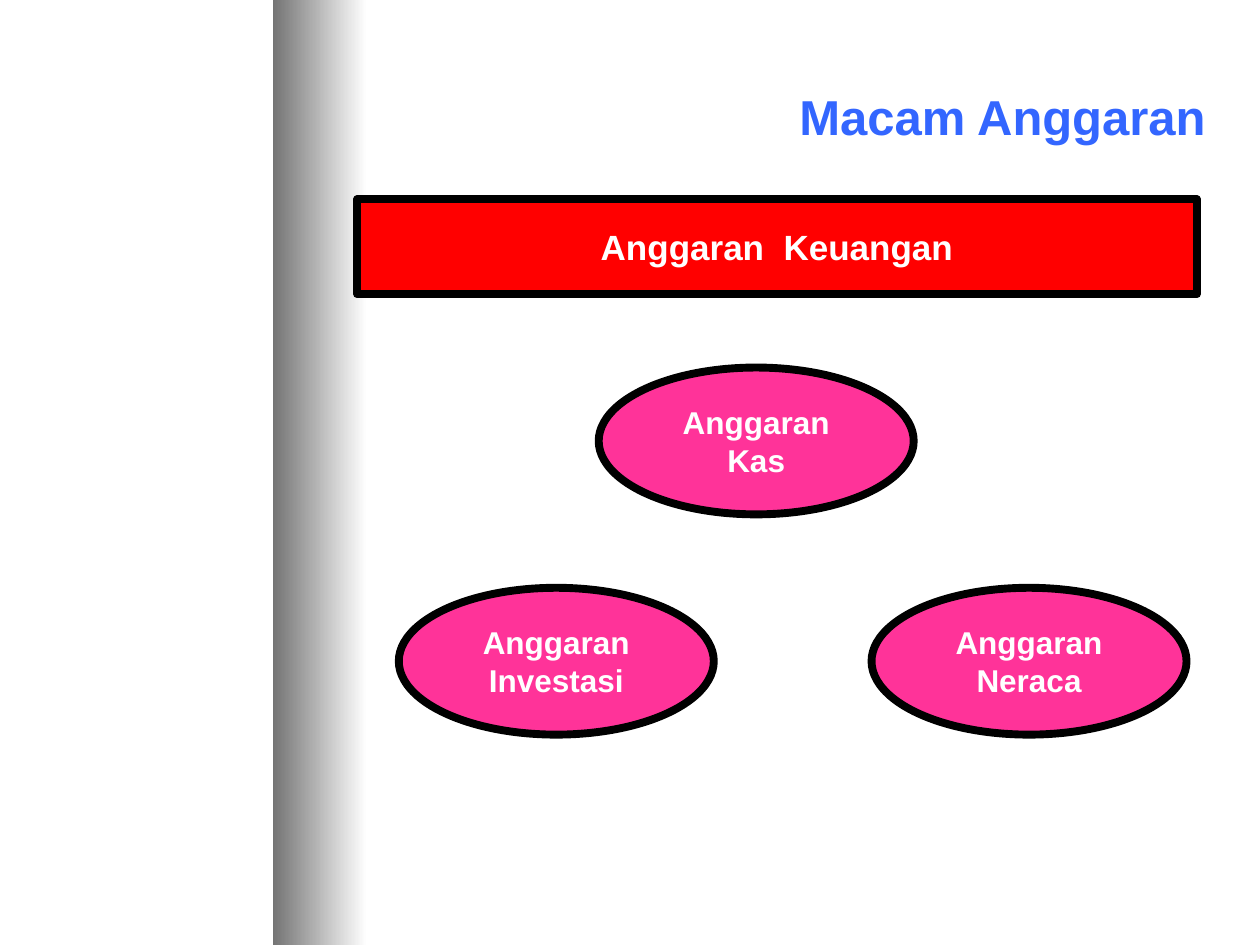
import pptx
import pptx.dml.color
import pptx.enum.shapes
import pptx.enum.text
import pptx.util

Cm = pptx.util.Cm
Pt = pptx.util.Pt
RGBColor = pptx.dml.color.RGBColor
MSO_SHAPE = pptx.enum.shapes.MSO_SHAPE
PP_ALIGN = pptx.enum.text.PP_ALIGN

BLACK = RGBColor(0x00, 0x00, 0x00)
WHITE = RGBColor(0xFF, 0xFF, 0xFF)
GREY = RGBColor(0x74, 0x74, 0x74)
BLUE = RGBColor(0x33, 0x66, 0xFF)
RED = RGBColor(0xFF, 0x00, 0x00)
PINK = RGBColor(0xFF, 0x33, 0x99)

FONT = "Arial"
OVAL_W, OVAL_H = 6.35, 2.96
OVALS = [
    ("Anggaran\nKas", 12.07, 7.41),
    ("Anggaran\nNeraca", 17.57, 11.85),
    ("Anggaran\nInvestasi", 8.04, 11.85),
]


def set_text(sp, text, size, color, align, wrap):
    tf = sp.text_frame
    tf.text = text
    tf.word_wrap = wrap
    tf.vertical_anchor = pptx.enum.text.MSO_ANCHOR.MIDDLE
    for p in tf.paragraphs:
        p.alignment = align
        for r in p.runs:
            r.font.name = FONT
            r.font.size = Pt(size)
            r.font.bold = True
            r.font.color.rgb = color


def add_band(s, left, top, width, height):
    sp = s.shapes.add_shape(MSO_SHAPE.RECTANGLE, Cm(left), Cm(top), Cm(width), Cm(height))
    sp.shadow.inherit = False
    sp.line.fill.background()
    sp.fill.gradient()
    sp.fill.gradient_angle = 0
    for stop, color in zip(sp.fill.gradient_stops, (GREY, WHITE)):
        stop.color.rgb = color


def add_title(s, text, left, top, width, height):
    sp = s.shapes.add_textbox(Cm(left), Cm(top), Cm(width), Cm(height))
    set_text(sp, text, 28, BLUE, PP_ALIGN.RIGHT, True)


def add_box(s, kind, text, left, top, width, height, fill, size):
    sp = s.shapes.add_shape(kind, Cm(left), Cm(top), Cm(width), Cm(height))
    sp.shadow.inherit = False
    sp.fill.solid()
    sp.fill.fore_color.rgb = fill
    sp.line.color.rgb = BLACK
    sp.line.width = Pt(4.5)
    set_text(sp, text, size, WHITE, PP_ALIGN.CENTER, False)


def main():
    """Build the slide on kinds of budget and save it."""
    prs = pptx.Presentation()
    prs.slide_width, prs.slide_height = Cm(25.4), Cm(19.05)
    s = prs.slides.add_slide(prs.slide_layouts[6])
    add_band(s, 5.5, 0, 1.9, 19.05)
    add_title(s, "Macam Anggaran", 6.77, 0.64, 17.78, 3.39)
    add_box(s, MSO_SHAPE.RECTANGLE, "Anggaran  Keuangan", 7.2, 4.02, 16.93, 1.91, RED, 20)
    for text, left, top in OVALS:
        add_box(s, MSO_SHAPE.OVAL, text, left, top, OVAL_W, OVAL_H, PINK, 18)
    prs.save("out.pptx")


if __name__ == "__main__":
    main()
